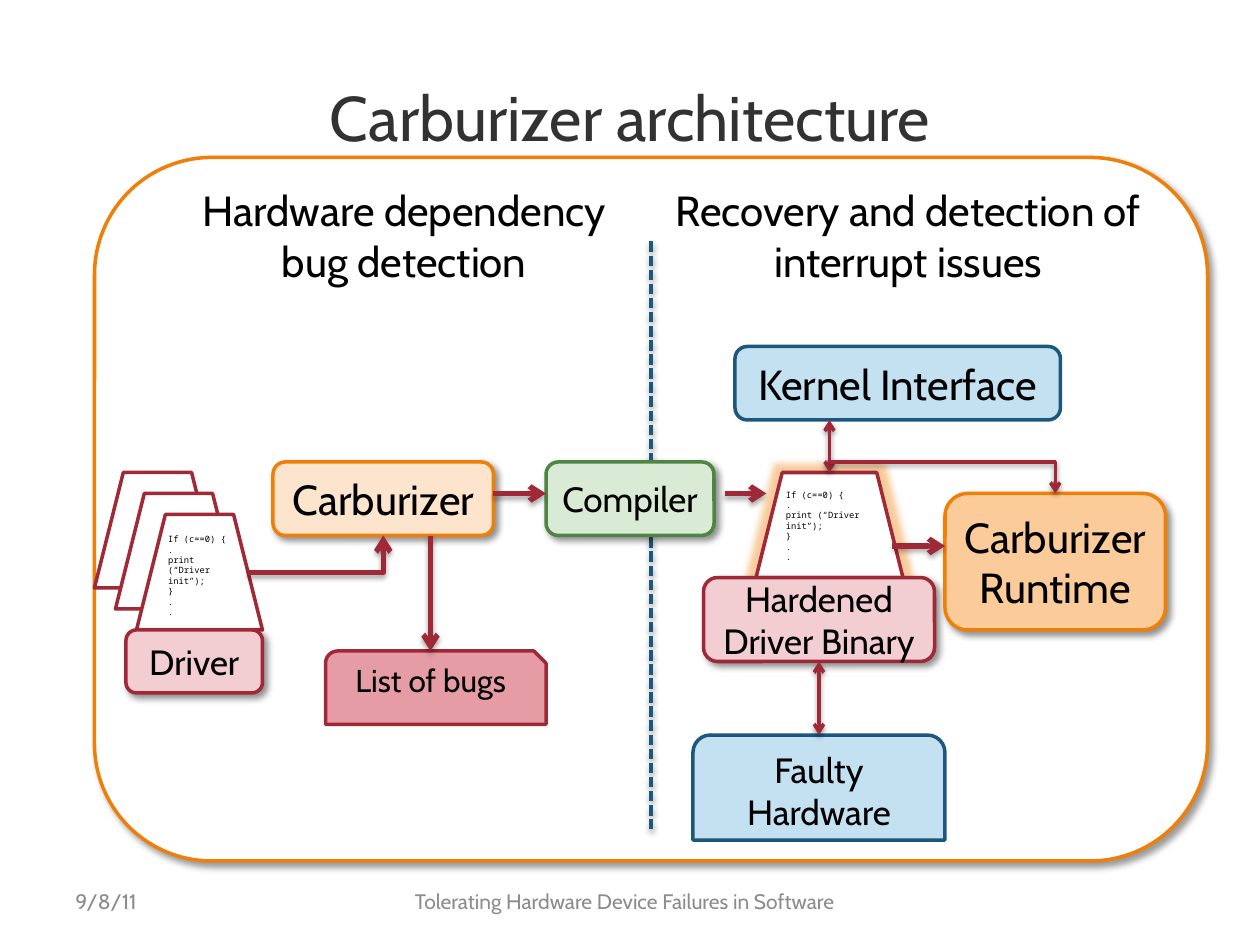
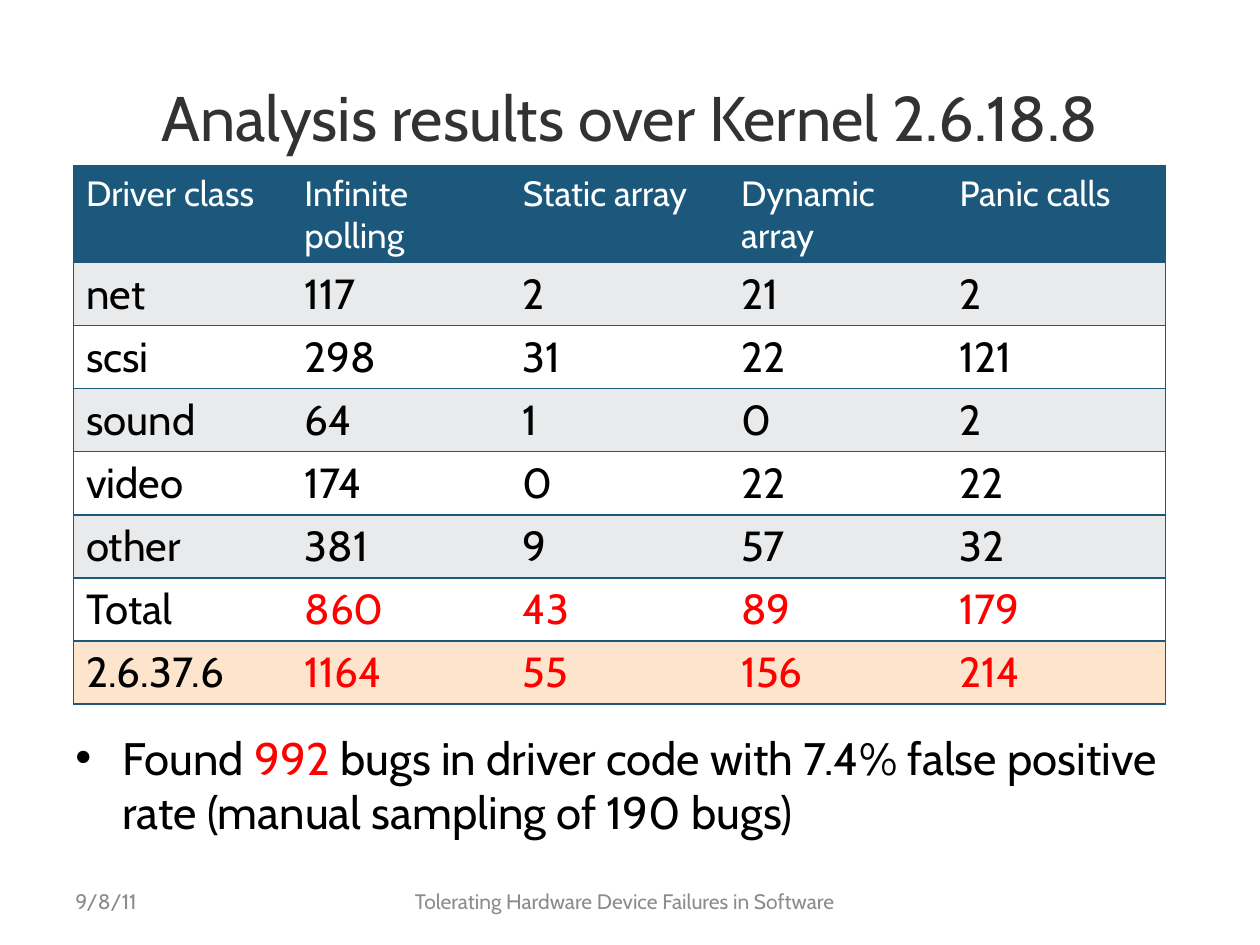
from pptx import Presentation
from pptx.dml.color import RGBColor
from pptx.enum.dml import MSO_LINE
from pptx.enum.shapes import MSO_CONNECTOR, MSO_SHAPE
from pptx.enum.text import MSO_ANCHOR, PP_ALIGN
from pptx.oxml.ns import qn
from pptx.util import Pt
from lxml.etree import SubElement

EMU_PER_PX = 7620  # 120 px to the inch
FONT, CODE_FONT = "Cabin", "Noto Sans Mono"
COLORS = {
    "white": "FFFFFF", "black": "000000", "title": "323232", "footer": "8C8C8C",
    "orange": "F07F09", "pale_orange": "FDE5CD", "mid_orange": "FBCC9A",
    "red": "9F2936", "pale_red": "F2CED2", "mid_red": "E69CA4",
    "blue": "1B587C", "pale_blue": "C4E1F2",
    "green": "4E8542", "pale_green": "D9EAD5",
    "band": "E8EAEC", "highlight": "FF0000",
}
# opacity in percent, blur and distance in points, direction in degrees
FRAME_SHADOW = (40, 4, 3, 45)
BOX_SHADOW = (43, 4, 3, 45)
THICK_LINE_SHADOW = (35, 3.1, 1.8, 90)
LINE_SHADOW = (38, 3.1, 1.6, 90)

CODE = ["If (c==0) {", ".", "print (“Driver init”);", "}", ".", "."]
RESULTS = [
    ["Driver class", "Infinite polling", "Static array", "Dynamic array", "Panic calls"],
    ["net", "117", "2", "21", "2"],
    ["scsi", "298", "31", "22", "121"],
    ["sound", "64", "1", "0", "2"],
    ["video", "174", "0", "22", "22"],
    ["other", "381", "9", "57", "32"],
    ["Total", "860", "43", "89", "179"],
    ["2.6.37.6", "1164", "55", "156", "214"],
]


def px(length):
    return length * EMU_PER_PX


def rgb(name):
    return RGBColor.from_string(COLORS[name])


def style_run(run, size, color="black", font=FONT):
    run.font.name = font
    run.font.size = Pt(size)
    run.font.bold = False
    run.font.color.rgb = rgb(color)


def write(text_frame, lines, size, color="black", font=FONT,
          align=PP_ALIGN.CENTER, anchor=MSO_ANCHOR.MIDDLE):
    text_frame.word_wrap = True
    text_frame.vertical_anchor = anchor
    text_frame.text = "\n".join(lines)
    for paragraph in text_frame.paragraphs:
        paragraph.alignment = align
        for run in paragraph.runs:
            style_run(run, size, color, font)


def add_effect(effects, tag, color, opacity, **attributes):
    effect = SubElement(effects, qn(tag), {k: str(v) for k, v in attributes.items()})
    color_element = SubElement(effect, qn("a:srgbClr"), val=COLORS[color])
    SubElement(color_element, qn("a:alpha"), val=str(opacity * 1000))


def add_shadow(effects, shadow):
    opacity, blur, distance, direction = shadow
    add_effect(effects, "a:outerShdw", "black", opacity, blurRad=int(Pt(blur)),
               dist=int(Pt(distance)), dir=direction * 60000, rotWithShape=0)


class Region:
    """An area of a slide whose parts are placed from its top left corner."""

    def __init__(self, slide, left, top):
        self.shapes, self.left, self.top = slide.shapes, left, top

    def place(self, x, y):
        return px(self.left + x), px(self.top + y)

    def text(self, box, lines, size, **style):
        x, y, width, height = box
        text_box = self.shapes.add_textbox(*self.place(x, y), px(width), px(height))
        write(text_box.text_frame, lines, size, **style)
        return text_box

    def node(self, box, fill, line, text="", size=20, shadow=None,
             kind=MSO_SHAPE.ROUNDED_RECTANGLE):
        x, y, width, height = box
        shape = self.shapes.add_shape(kind, *self.place(x, y), px(width), px(height))
        shape.shadow.inherit = False
        shape.fill.solid()
        shape.fill.fore_color.rgb = rgb(fill)
        shape.line.color.rgb = rgb(line)
        shape.line.width = Pt(2)
        if shadow:
            add_shadow(shape.element.spPr.find(qn("a:effectLst")), shadow)
        if text:
            write(shape.text_frame, [text], size)
        return shape

    def code_sheet(self, box, show_code=True):
        sheet = self.node(box, "white", "red", kind=MSO_SHAPE.TRAPEZOID)
        if show_code:
            write(sheet.text_frame, CODE, 5, font=CODE_FONT, align=PP_ALIGN.LEFT)
            sheet.text_frame.margin_bottom = px(16)
        return sheet

    def connector(self, start, end, width=3, color="red", heads=("tailEnd",),
                  elbow=False, dash=None):
        kind = MSO_CONNECTOR.ELBOW if elbow else MSO_CONNECTOR.STRAIGHT
        connector = self.shapes.add_connector(kind, *self.place(*start), *self.place(*end))
        properties = connector.element.spPr
        if elbow:  # a single corner
            properties.find(qn("a:prstGeom")).set("prst", "bentConnector2")
        connector.line.color.rgb = rgb(color)
        connector.line.width = Pt(width)
        if dash:
            connector.line.dash_style = dash
        for head in heads:
            SubElement(properties.find(qn("a:ln")), qn(f"a:{head}"), type="arrow")
        add_shadow(SubElement(properties, qn("a:effectLst")),
                   THICK_LINE_SHADOW if width == 3 else LINE_SHADOW)
        return connector


def add_base_slide(presentation, title):
    slide = presentation.slides.add_slide(presentation.slide_layouts[6])
    page = Region(slide, 0, 0)
    page.text((60, 36, 1080, 150), [title], 36, color="title")
    page.text((60, 834, 280, 48), ["9/8/11"], 12, color="footer", align=PP_ALIGN.LEFT)
    page.text((360, 834, 470, 48), ["Tolerating Hardware Device Failures in Software"],
              12, color="footer")
    return slide


def draw_bug_detection(slide, left, top):
    region = Region(slide, left, top)
    region.text((60, 20, 470, 109), ["Hardware dependency bug detection"], 24,
                anchor=MSO_ANCHOR.TOP)

    # Stack of driver sources, code on the front sheet
    for index in range(3):
        region.code_sheet((20 * index, 300 + 20 * index, 120, 110), index == 2)
    region.node((30, 450, 130, 60), "pale_red", "red", "Driver", shadow=BOX_SHADOW)

    # Tool, compiler and report
    region.node((170, 290, 210, 70), "pale_orange", "orange", "Carburizer", 24, BOX_SHADOW)
    region.node((430, 290, 160, 70), "pale_green", "green", "Compiler", shadow=BOX_SHADOW)
    bugs = region.node((220, 470, 210, 70), "mid_red", "red",
                       kind=MSO_SHAPE.SNIP_ROUND_RECTANGLE)
    write(bugs.text_frame, ["List of bugs"], 18, align=PP_ALIGN.LEFT, anchor=MSO_ANCHOR.TOP)
    bugs.text_frame.margin_left = px(25)

    region.connector((146, 395), (275, 360), elbow=True)
    region.connector((380, 320), (430, 320))
    region.connector((320, 360), (320, 470))


def draw_recovery(slide, left, top):
    region = Region(slide, left, top)
    region.text((-10, 20, 510, 109), ["Recovery and detection of interrupt issues"], 24,
                anchor=MSO_ANCHOR.TOP)

    # Hardened driver with a glow around its code
    region.connector((70, 320), (110, 320))
    sheet = region.code_sheet((100, 300, 140, 100))
    add_effect(sheet.element.spPr.find(qn("a:effectLst")), "a:glow", "orange", 40,
               rad=int(Pt(8)))
    binary = region.node((50, 400, 220, 80), "pale_red", "red", "Hardened Driver Binary",
                         shadow=BOX_SHADOW)

    # Surroundings of the driver
    region.node((40, 550, 240, 100), "pale_blue", "blue", "Faulty Hardware",
                kind=MSO_SHAPE.ROUND_2_SAME_RECTANGLE)
    region.node((280, 320, 210, 130), "mid_orange", "orange", "Carburizer Runtime", 24,
                BOX_SHADOW)
    region.node((80, 180, 310, 70), "pale_blue", "blue", "Kernel Interface", 24)

    both_ends = ("headEnd", "tailEnd")
    region.connector((230, 370), (280, 370))
    region.connector((170, 300), (170, 250), 2, heads=both_ends)
    region.connector((170, 290), (385, 320), 2, elbow=True)
    hardware_link = region.connector((160, 550), (160, 480), 2, heads=both_ends)
    hardware_link.end_connect(binary, 2)


def build_architecture(presentation):
    slide = add_base_slide(presentation, "Carburizer architecture")
    left, top, middle = 90, 150, 530
    frame = Region(slide, left, top)
    frame.node((0, 0, 1060, 670), "white", "orange", shadow=FRAME_SHADOW)
    frame.connector((middle, 80), (middle, 640), 2, "blue", heads=(),
                    dash=MSO_LINE.SQUARE_DOT)
    draw_bug_detection(slide, left, top)
    draw_recovery(slide, left + middle, top)


def set_cell_borders(cell, visible):
    properties = cell._tc.get_or_add_tcPr()
    for side in "LRTB":
        line = SubElement(properties, qn(f"a:ln{side}"), w=str(int(Pt(1))))
        if side in visible:
            fill = SubElement(line, qn("a:solidFill"))
            SubElement(fill, qn("a:srgbClr"), val=COLORS["blue"])
        else:
            SubElement(line, qn("a:noFill"))


def draw_results(slide, left, top, width):
    row_count, column_count = len(RESULTS), len(RESULTS[0])
    header_height, row_height = 89, 58
    table = slide.shapes.add_table(
        row_count, column_count, px(left), px(top), px(width),
        px(header_height + row_height * (row_count - 1))).table
    table.first_row = table.horz_banding = False
    for column in table.columns:
        column.width = px(width // column_count)
    for row_index, values in enumerate(RESULTS):
        is_header = row_index == 0
        table.rows[row_index].height = px(header_height if is_header else row_height)
        fill = "blue" if is_header else "band" if row_index % 2 else "white"
        if row_index == row_count - 1:
            fill = "pale_orange"
        for column_index, value in enumerate(values):
            cell = table.cell(row_index, column_index)
            sides = {0: "LTB", column_count - 1: "RTB"}.get(column_index, "TB")
            set_cell_borders(cell, sides)
            cell.fill.solid()
            cell.fill.fore_color.rgb = rgb(fill)
            is_sum = row_index >= row_count - 2 and column_index > 0
            color = "white" if is_header else "highlight" if is_sum else "black"
            cell.text_frame.text = value
            style_run(cell.text_frame.paragraphs[0].runs[0], 20 if is_header else 24, color)


def draw_finding(slide, left, top, width, height):
    text_box = Region(slide, left, top).text((0, 0, width, height), ["Found "], 26,
                                             align=PP_ALIGN.LEFT, anchor=MSO_ANCHOR.TOP)
    paragraph = text_box.text_frame.paragraphs[0]
    for text, color in [
        ("992 ", "highlight"),
        ("bugs in driver code with 7.4% false positive rate (manual sampling of 190 bugs)",
         "black"),
    ]:
        run = paragraph.add_run()
        run.text = text
        style_run(run, 26, color)
    # Hanging bullet
    properties = paragraph._p.get_or_add_pPr()
    properties.set("marL", str(px(45)))
    properties.set("indent", str(px(-45)))
    SubElement(properties, qn("a:buFont"), typeface="Arial")
    SubElement(properties, qn("a:buChar"), char="•")


def build_results(presentation):
    slide = add_base_slide(presentation, "Analysis results over Kernel 2.6.18.8")
    draw_results(slide, 70, 158, 1040)
    draw_finding(slide, 60, 689, 1080, 134)


def main():
    presentation = Presentation()
    presentation.slide_width, presentation.slide_height = px(1200), px(900)
    build_architecture(presentation)
    build_results(presentation)
    presentation.save("out.pptx")


if __name__ == "__main__":
    main()
